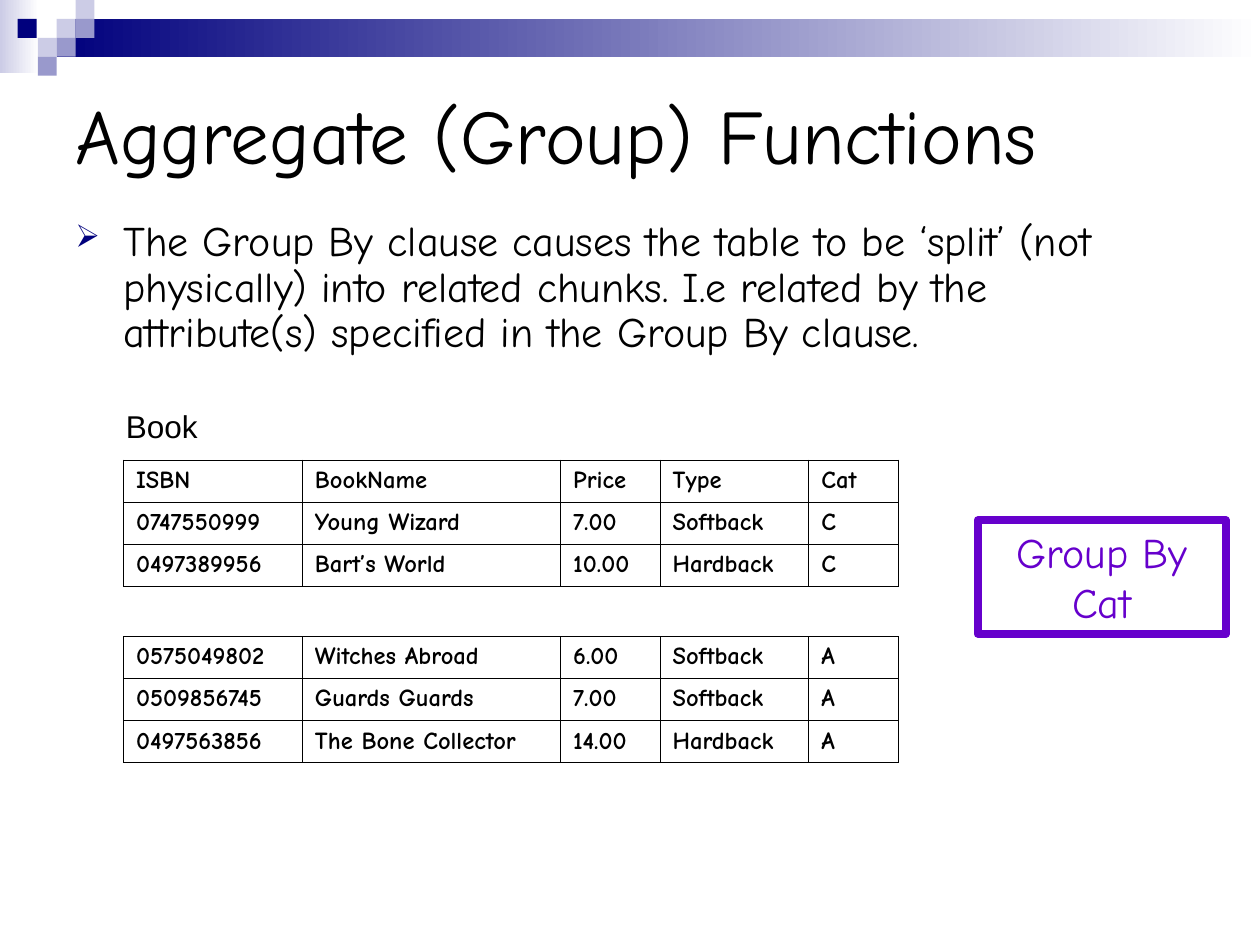
from lxml.etree import SubElement
from pptx import Presentation
from pptx.dml.color import RGBColor
from pptx.enum.shapes import MSO_SHAPE as Shape
from pptx.enum.text import MSO_ANCHOR as Anchor, MSO_AUTO_SIZE as AutoSize, PP_ALIGN as Align
from pptx.oxml import parse_xml
from pptx.oxml.ns import nsdecls, qn
from pptx.util import Inches, Pt

COLORS = {
    "navy": "00007D",
    "lilac": "CCCCE6",
    "lavender": "9999CC",
    "purple": "6600CC",
    "black": "000000",
    "white": "FFFFFF",
}


def rgb(color):
    return RGBColor.from_string(COLORS[color])


class SlideBuilder:
    font = "Comic Neue"

    def __init__(self, slide):
        self.slide = slide

    def style(self, paragraph, size, color="black", font=None, bold=False):
        paragraph.font.name = font or self.font
        paragraph.font.size = Pt(size)
        paragraph.font.bold = bold
        paragraph.font.color.rgb = rgb(color)

    def block(self, left, top, width, height, *colors):
        block = self.slide.shapes.add_shape(
            Shape.RECTANGLE, Inches(left), Inches(top), Inches(width), Inches(height))
        block.shadow.inherit = False
        block.line.fill.background()
        if len(colors) == 1:
            block.fill.solid()
            block.fill.fore_color.rgb = rgb(colors[0])
        elif colors:
            block.fill.gradient()
            block.fill.gradient_angle = 0
            for stop, color in zip(block.fill.gradient_stops, colors):
                stop.color.rgb = rgb(color)
        else:
            block.fill.background()
        return block

    def text(self, words, left, top, width, height, size, font=None, anchor=Anchor.TOP):
        frame = self.slide.shapes.add_textbox(
            Inches(left), Inches(top), Inches(width), Inches(height)).text_frame
        frame.word_wrap = True
        frame.vertical_anchor = anchor
        paragraph = frame.paragraphs[0]
        paragraph.text = words
        self.style(paragraph, size, font=font)
        return paragraph

    def bullet(self, words, left, top, width, height, size):
        paragraph = self.text(words, left, top, width, height, size)
        paragraph.line_spacing = 0.9
        properties = paragraph._p.get_or_add_pPr()
        properties.set("marL", str(Inches(0.38)))
        properties.set("indent", str(-Inches(0.38)))
        mark_color = parse_xml(
            f'<a:buClr {nsdecls("a")}><a:srgbClr val="{COLORS["navy"]}"/></a:buClr>')
        mark_size = parse_xml(f'<a:buSzPct {nsdecls("a")} val="75000"/>')
        mark = parse_xml(f'<a:buChar {nsdecls("a")} char="➢"/>')
        font_properties = properties.find(qn("a:defRPr"))
        for element in (mark_color, mark_size, mark):
            font_properties.addprevious(element)

    def outlined(self, words, left, top, width, height, size, color):
        box = self.block(left, top, width, height)
        box.line.color.rgb = rgb(color)
        box.line.width = Pt(4.5)
        frame = box.text_frame
        frame.word_wrap = True
        frame.auto_size = AutoSize.SHAPE_TO_FIT_TEXT
        frame.vertical_anchor = Anchor.TOP
        paragraph = frame.paragraphs[0]
        paragraph.text = words
        paragraph.alignment = Align.CENTER
        self.style(paragraph, size, color)

    def borders(self, cell, sides):
        properties = cell._tc.get_or_add_tcPr()
        for position, side in enumerate("LRTB"):
            line = SubElement(properties, qn(f"a:ln{side}"), w=str(Pt(0.4)))
            if side in sides:
                fill = SubElement(line, qn("a:solidFill"))
                SubElement(fill, qn("a:srgbClr"), val=COLORS["black"])
            else:
                SubElement(line, qn("a:noFill"))
            properties.insert(position, line)

    def table(self, rows, widths, left, top, height, size):
        table = self.slide.shapes.add_table(
            len(rows), len(widths), Inches(left), Inches(top),
            Inches(sum(widths)), Inches(height)).table
        table.first_row = table.horz_banding = False
        for column, width in zip(table.columns, widths):
            column.width = Inches(width)
        for row_index, row in enumerate(rows):
            for column_index in range(len(widths)):
                cell = table.cell(row_index, column_index)
                if row_index == 0:
                    cell.fill.background()
                    cell.vertical_anchor = Anchor.MIDDLE
                else:
                    cell.fill.solid()
                    cell.fill.fore_color.rgb = rgb("white")
                self.borders(cell, "LRTB" if row else "TB")
                if row:
                    paragraph = cell.text_frame.paragraphs[0]
                    paragraph.text = row[column_index]
                    self.style(paragraph, size, bold=True)


def main():
    deck = Presentation()
    deck.slide_width, deck.slide_height = Inches(10), Inches(7.5)
    page = SlideBuilder(deck.slides.add_slide(deck.slide_layouts[6]))

    page.block(0, 0, 0.31, 0.58, "lilac", "white")
    page.block(0.45, 0.15, 9.55, 0.3, "navy", "white")
    unit = 0.15
    mosaic = [
        (3, 1, "lilac"), (4, 0, "lilac"), (4, 1, "lavender"),
        (2, 2, "lilac"), (3, 2, "lavender"), (2, 3, "lavender"),
    ]
    for column, row, color in mosaic:
        page.block(column * unit, row * unit, unit, unit, color)
    page.block(0.14, unit, unit, unit, "navy")

    page.text("Aggregate (Group) Functions", 0.5, 0.5, 9, 1.12, 44, anchor=Anchor.MIDDLE)
    page.bullet(
        "The Group By clause causes the table to be ‘split’ (not physically) into related "
        "chunks. I.e related by the attribute(s) specified in the Group By clause.",
        0.5, 1.7, 9, 1.26, 24)
    page.text("Book", 0.9, 3.18, 2.91, 0.4, 18, font="Arial")

    books = [
        ("ISBN", "BookName", "Price", "Type", "Cat"),
        ("0747550999", "Young Wizard", "7.00", "Softback", "C"),
        ("0497389956", "Bart’s World", "10.00", "Hardback", "C"),
        (),
        ("0575049802", "Witches Abroad", "6.00", "Softback", "A"),
        ("0509856745", "Guards Guards", "7.00", "Softback", "A"),
        ("0497563856", "The Bone Collector", "14.00", "Hardback", "A"),
    ]
    page.table(books, (1.42, 2.05, 0.79, 1.18, 0.71), 0.98, 3.65, 2.33, 14)
    page.outlined("Group By Cat", 7.76, 4.13, 1.97, 0.9, 24, "purple")

    deck.save("out.pptx")


if __name__ == "__main__":
    main()
